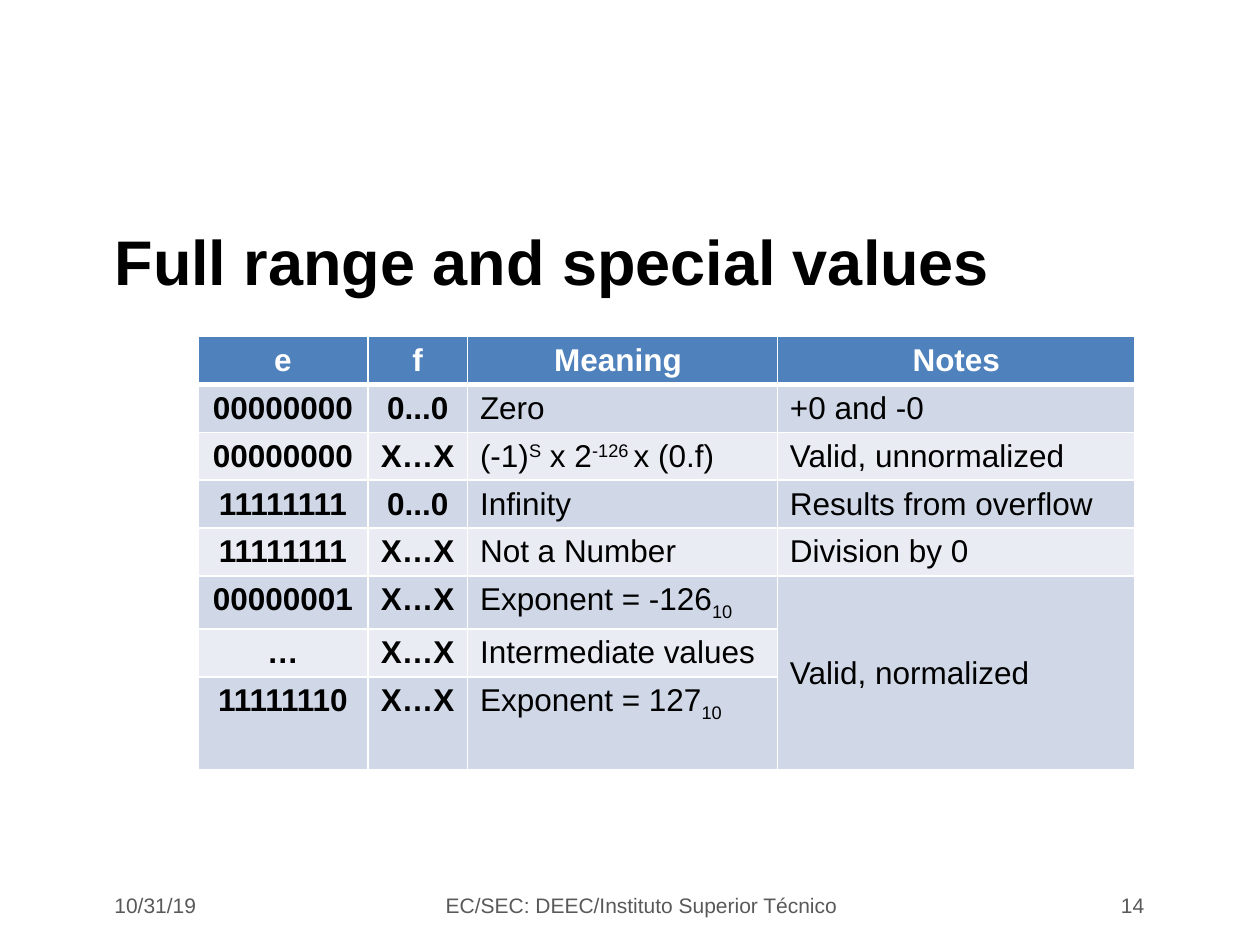
"""Build a slide with a table of floating-point ranges and special values."""
from lxml import etree
from pptx import Presentation
from pptx.dml.color import RGBColor
from pptx.enum.text import MSO_ANCHOR, PP_ALIGN
from pptx.oxml.ns import qn
from pptx.util import Inches, Pt

LEFT, CENTER, RIGHT = PP_ALIGN.LEFT, PP_ALIGN.CENTER, PP_ALIGN.RIGHT
MIDDLE = MSO_ANCHOR.MIDDLE
COLORS = {"text": "000000", "white": "FFFFFF", "header": "4F81BD",
          "band_dark": "D0D8E7", "band_light": "E9ECF3", "footer": "595959"}


def write(tf, text, size=18, color="text", bold=False, align=LEFT):
    """Write a string, or a list of (string, baseline percent) pairs."""
    p = tf.paragraphs[0]
    p.alignment = align
    parts = [(text, 0)] if isinstance(text, str) else text
    for part, baseline in parts:
        r = p.add_run()
        r.text = part
        r.font.name = "Arial"
        r.font.size = Pt(size)
        r.font.bold = bold
        r.font.color.rgb = RGBColor.from_string(COLORS[color])
        if baseline:
            r.font._element.set("baseline", str(baseline * 1000))


def set_borders(cell, bottom):
    """Draw white borders around a cell, with its own bottom width."""
    tcPr = cell._tc.get_or_add_tcPr()
    for side, width in (("L", 0.96), ("R", 0.96), ("T", 0.96), ("B", bottom)):
        ln = etree.SubElement(tcPr, qn(f"a:ln{side}"), w=str(Pt(width)))
        fill = etree.SubElement(ln, qn("a:solidFill"))
        etree.SubElement(fill, qn("a:srgbClr"), val=COLORS["white"])


prs = Presentation()
prs.slide_width, prs.slide_height = Inches(10), Inches(7.5)
s = prs.slides.add_slide(prs.slide_layouts[5])

title = s.shapes.title
title.left, title.top = Inches(0.81), Inches(1.59)
title.width, title.height = Inches(8.37), Inches(0.95)
title.text_frame.vertical_anchor = MIDDLE
write(title.text_frame, "Full range and special values", size=36, bold=True)

rows = [
    ("e", "f", "Meaning ", "Notes"),
    ("00000000", "0...0", "Zero", "+0 and -0"),
    ("00000000", "X…X",
     [("(-1)", 0), ("S", 30), (" x 2", 0), ("-126 ", 30), ("x (0.f)", 0)],
     "Valid, unnormalized"),
    ("11111111", "0...0", "Infinity", "Results from overflow"),
    ("11111111", "X…X", "Not a Number", "Division by 0"),
    ("00000001", "X…X", [("Exponent = -126", 0), ("10", -25)], "Valid, normalized"),
    ("…", "X…X", "Intermediate values", ""),
    ("11111110", "X…X", [("Exponent = 127", 0), ("10", -25)], ""),
]
col_widths = [1.35, 0.79, 2.46, 2.84]
row_heights = [0.38] * 5 + [0.42, 0.38, 0.74]

table = s.shapes.add_table(len(rows), len(col_widths), Inches(1.57), Inches(2.67),
                           Inches(7.44), Inches(3.44)).table
for column, width in zip(table.columns, col_widths):
    column.width = Inches(width)
for row, height in zip(table.rows, row_heights):
    row.height = Inches(height)

for i, row in enumerate(rows):
    header = i == 0
    band = "header" if header else "band_dark" if i % 2 else "band_light"
    for j, text in enumerate(row):
        cell = table.cell(i, j)
        set_borders(cell, bottom=3 if header else 0.96)
        cell.fill.solid()
        cell.fill.fore_color.rgb = RGBColor.from_string(COLORS[band])
        if text:
            key = header or j < 2
            write(cell.text_frame, text, color="white" if header else "text",
                  bold=key, align=CENTER if key else LEFT)

normalized = table.cell(5, 3)
normalized.merge(table.cell(7, 3))
normalized.vertical_anchor = MIDDLE

footers = [
    (0.81, 2.02, "10/31/19", LEFT),
    (3.42, 3.39, "EC/SEC: DEEC/Instituto Superior Técnico ", CENTER),
    (7.18, 2, "14", RIGHT),
]
for left, width, text, align in footers:
    sp = s.shapes.add_textbox(Inches(left), Inches(7.01), Inches(width), Inches(0.34))
    tf = sp.text_frame
    tf.word_wrap = True
    tf.vertical_anchor = MIDDLE
    write(tf, text, size=12, color="footer", align=align)

prs.save("out.pptx")
